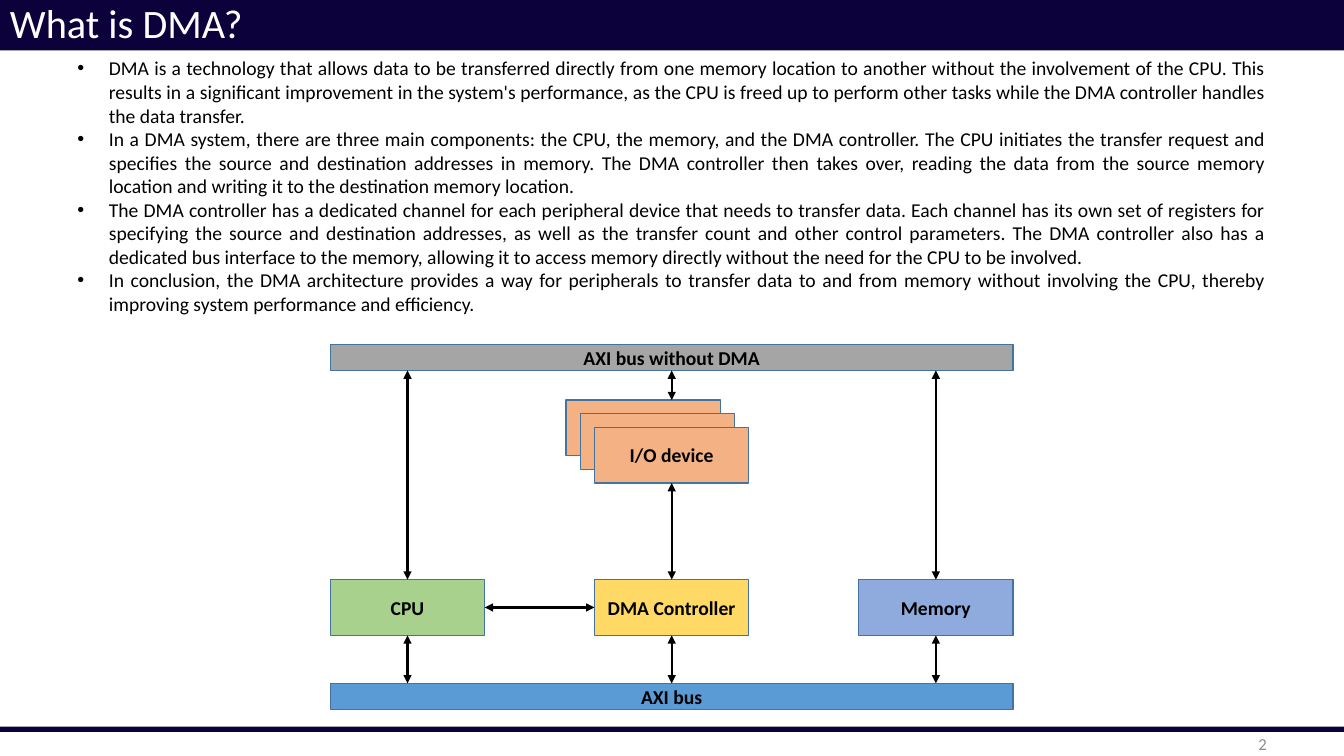
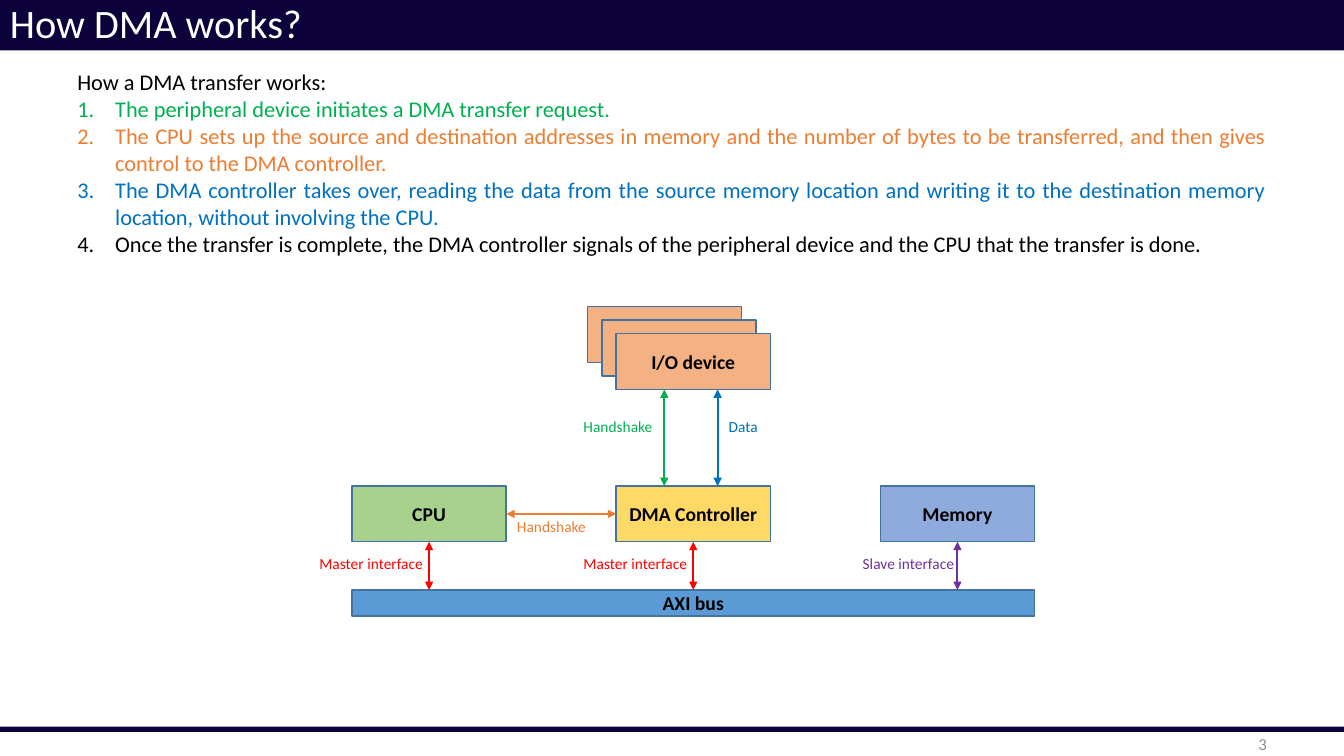
from dataclasses import dataclass

from lxml import etree
from pptx import Presentation
from pptx.dml.color import RGBColor
from pptx.enum.shapes import MSO_CONNECTOR, MSO_SHAPE
from pptx.enum.text import MSO_ANCHOR, PP_ALIGN
from pptx.oxml.ns import qn
from pptx.util import Pt

RECT = MSO_SHAPE.RECTANGLE
STRAIGHT = MSO_CONNECTOR.STRAIGHT
TOP, MIDDLE = MSO_ANCHOR.TOP, MSO_ANCHOR.MIDDLE
LEFT, CENTER, RIGHT, JUSTIFY = PP_ALIGN.LEFT, PP_ALIGN.CENTER, PP_ALIGN.RIGHT, PP_ALIGN.JUSTIFY

SLIDE_W, SLIDE_H = 960, 540
BOX_W, BOX_H, PITCH = 110.2, 39.8, 188.7
BUS_W, BUS_H, BUS_GAP = 2 * PITCH + BOX_W, 18.6, 34.4
DEVICE_RISE = 108.8
STACK_DX, STACK_DY = 10.2, 9.7


@dataclass(frozen=True)
class Theme:
    font: str = "Calibri"
    navy: str = "0C013B"
    white: str = "FFFFFF"
    black: str = "000000"
    page_grey: str = "8C8C8C"
    outline: str = "43739E"
    cpu: str = "A9D18E"
    controller: str = "FFD966"
    memory: str = "8FAADC"
    device: str = "F4B183"
    bus: str = "5B9BD5"
    old_bus: str = "A5A5A5"
    request: str = "00B050"
    setup: str = "ED7D31"
    data: str = "0070C0"
    master: str = "FF0000"
    slave: str = "7030A0"
    title_size: float = 28.8
    steps_size: float = 16
    body_size: float = 14
    page_size: float = 12
    label_size: float = 11


T = Theme()


class Deck:
    def __init__(self):
        self.prs = Presentation()
        self.prs.slide_width, self.prs.slide_height = Pt(SLIDE_W), Pt(SLIDE_H)
        self.s = None

    def new_slide(self, title, number):
        self.s = self.prs.slides.add_slide(self.prs.slide_layouts[6])
        self.rect(0, 519, SLIDE_W, 3.8, T.navy)
        band = self.rect(0, 0, SLIDE_W, 36, T.navy)
        self.fill_text(band.text_frame, title, T.title_size, T.white, LEFT, MIDDLE)
        band.text_frame.paragraphs[0].line_spacing = 0.9
        self.text(744, 522, 168, 18, str(number), T.page_size, T.page_grey, RIGHT, MIDDLE)

    def fill_text(self, tf, text, size, color, align=LEFT, anchor=TOP, bold=False):
        tf.word_wrap = True
        tf.vertical_anchor = anchor
        tf.text = text
        for p in tf.paragraphs:
            p.alignment = align
            self.style(p, size, color, bold)

    def style(self, p, size, color, bold=False):
        for r in p.runs:
            r.font.name, r.font.size, r.font.bold = T.font, Pt(size), bold
            r.font.color.rgb = RGBColor.from_string(color)

    def rect(self, x, y, w, h, fill, line=None):
        sp = self.s.shapes.add_shape(RECT, Pt(x), Pt(y), Pt(w), Pt(h))
        sp.shadow.inherit = False
        sp.fill.solid()
        sp.fill.fore_color.rgb = RGBColor.from_string(fill)
        if line:
            sp.line.color.rgb = RGBColor.from_string(line)
            sp.line.width = Pt(1)
        else:
            sp.line.fill.background()
        return sp

    def block(self, x, y, w, h, fill, text=""):
        sp = self.rect(x, y, w, h, fill, T.outline)
        self.fill_text(sp.text_frame, text, T.body_size, T.black, CENTER, MIDDLE, True)

    def text(self, x, y, w, h, text, size, color, align=LEFT, anchor=TOP):
        sp = self.s.shapes.add_textbox(Pt(x), Pt(y), Pt(w), Pt(h))
        self.fill_text(sp.text_frame, text, size, color, align, anchor)
        return sp.text_frame

    def label(self, x, y, w, text, color):
        self.text(x, y, w, 20.6, text, T.label_size, color)

    def bullet(self, p, indent, tag, **attrs):
        pPr = p._p.get_or_add_pPr()
        pPr.set("marL", str(Pt(indent)))
        pPr.set("indent", str(-Pt(indent)))
        font = "Arial" if tag == "a:buChar" else T.font
        etree.SubElement(pPr, qn("a:buFont"), typeface=font)
        etree.SubElement(pPr, qn(tag), **attrs)

    def arrow(self, x1, y1, x2, y2, color=T.black):
        """Draw a line with a head at each end."""
        cn = self.s.shapes.add_connector(STRAIGHT, Pt(x1), Pt(y1), Pt(x2), Pt(y2))
        cn.line.color.rgb = RGBColor.from_string(color)
        cn.line.width = Pt(1.5)
        spPr = cn._element.spPr
        ln = spPr.find(qn("a:ln"))
        for end in ("a:headEnd", "a:tailEnd"):
            etree.SubElement(ln, qn(end), type="triangle")
        etree.SubElement(spPr, qn("a:effectLst"))

    def system(self, left, row, handshake, links):
        """Draw the blocks, bus and bus links; return the column centres."""
        xs = [left + i * PITCH for i in range(3)]
        centers = [x + BOX_W / 2 for x in xs]
        parts = (("CPU", T.cpu), ("DMA Controller", T.controller), ("Memory", T.memory))
        bottom = row + BOX_H
        bus_top = bottom + BUS_GAP
        for x, (name, fill) in zip(xs, parts):
            self.block(x, row, BOX_W, BOX_H, fill, name)
        for back in (2, 1, 0):
            self.block(xs[1] - back * STACK_DX, row - DEVICE_RISE - back * STACK_DY,
                       BOX_W, BOX_H, T.device, "" if back else "I/O device")
        self.block(left, bus_top, BUS_W, BUS_H, T.bus, "AXI bus")
        for x, color in zip(centers, links):
            self.arrow(x, bottom, x, bus_top, color)
        mid = row + BOX_H / 2
        self.arrow(xs[1], mid, xs[0] + BOX_W, mid, handshake)
        return centers


def what_is_dma(deck):
    deck.new_slide("What is DMA?", 2)
    facts = (
        "DMA is a technology that allows data to be transferred directly from one memory "
        "location to another without the involvement of the CPU. This results in a significant "
        "improvement in the system's performance, as the CPU is freed up to perform other tasks "
        "while the DMA controller handles the data transfer.",
        "In a DMA system, there are three main components: the CPU, the memory, and the DMA "
        "controller. The CPU initiates the transfer request and specifies the source and "
        "destination addresses in memory. The DMA controller then takes over, reading the data "
        "from the source memory location and writing it to the destination memory location.",
        "The DMA controller has a dedicated channel for each peripheral device that needs to "
        "transfer data. Each channel has its own set of registers for specifying the source and "
        "destination addresses, as well as the transfer count and other control parameters. The "
        "DMA controller also has a dedicated bus interface to the memory, allowing it to access "
        "memory directly without the need for the CPU to be involved.",
        "In conclusion, the DMA architecture provides a way for peripherals to transfer data to "
        "and from memory without involving the CPU, thereby improving system performance and "
        "efficiency.",
    )
    tf = deck.text(48.2, 36.7, 863.5, 193.7, "\n".join(facts), T.body_size, T.black, JUSTIFY)
    for p in tf.paragraphs:
        deck.bullet(p, 22.5, "a:buChar", char="•")

    left, row, old_bus_top = 236, 414, 246
    cpu, dma, memory = deck.system(left, row, T.black, [T.black] * 3)
    deck.block(left, old_bus_top, BUS_W, BUS_H, T.old_bus, "AXI bus without DMA")
    device_top = row - DEVICE_RISE
    deck.arrow(dma, device_top + BOX_H, dma, row)
    old_bus_bottom = old_bus_top + BUS_H
    for x, end in ((cpu, row), (memory, row), (dma, device_top - 2 * STACK_DY)):
        deck.arrow(x, old_bus_bottom, x, end)


def how_dma_works(deck):
    deck.new_slide("How DMA works?", 3)
    steps = (
        ("The peripheral device initiates a DMA transfer request.", T.request),
        ("The CPU sets up the source and destination addresses in memory and the number of bytes "
         "to be transferred, and then gives control to the DMA controller.", T.setup),
        ("The DMA controller takes over, reading the data from the source memory location and "
         "writing it to the destination memory location, without involving the CPU.", T.data),
        ("Once the transfer is complete, the DMA controller signals of the peripheral device and "
         "the CPU that the transfer is done.", T.black),
    )
    tf = deck.text(48.2, 45.4, 863.5, 143.3, "How a DMA transfer works:",
                   T.steps_size, T.black, JUSTIFY)
    for step, color in steps:
        p = tf.add_paragraph()
        p.text = step
        p.alignment = JUSTIFY
        deck.style(p, T.steps_size, color)
        deck.bullet(p, 27, "a:buAutoNum", type="arabicPeriod")

    left, row = 251.4, 347.2
    cpu, dma, memory = deck.system(left, row, T.setup, (T.master, T.master, T.slave))
    for x, color in ((dma - 20.7, T.request), (dma + 17.4, T.data)):
        deck.arrow(x, row - DEVICE_RISE + BOX_H, x, row, color)
    deck.label(left + BOX_W + 0.6, row + 18.6, 69, "Handshake", T.setup)
    deck.label(dma - 85.5, row - 52.7, 69, "Handshake", T.request)
    deck.label(dma + 18.2, row - 52.7, 38, "Data", T.data)
    interface_y = row + BOX_H + 5.4
    for x in (cpu, dma):
        deck.label(x - 85.5, interface_y, 93, "Master interface", T.master)
    deck.label(memory - 74.8, interface_y, 93, "Slave interface", T.slave)


def main():
    deck = Deck()
    what_is_dma(deck)
    how_dma_works(deck)
    deck.prs.save("out.pptx")


if __name__ == "__main__":
    main()
